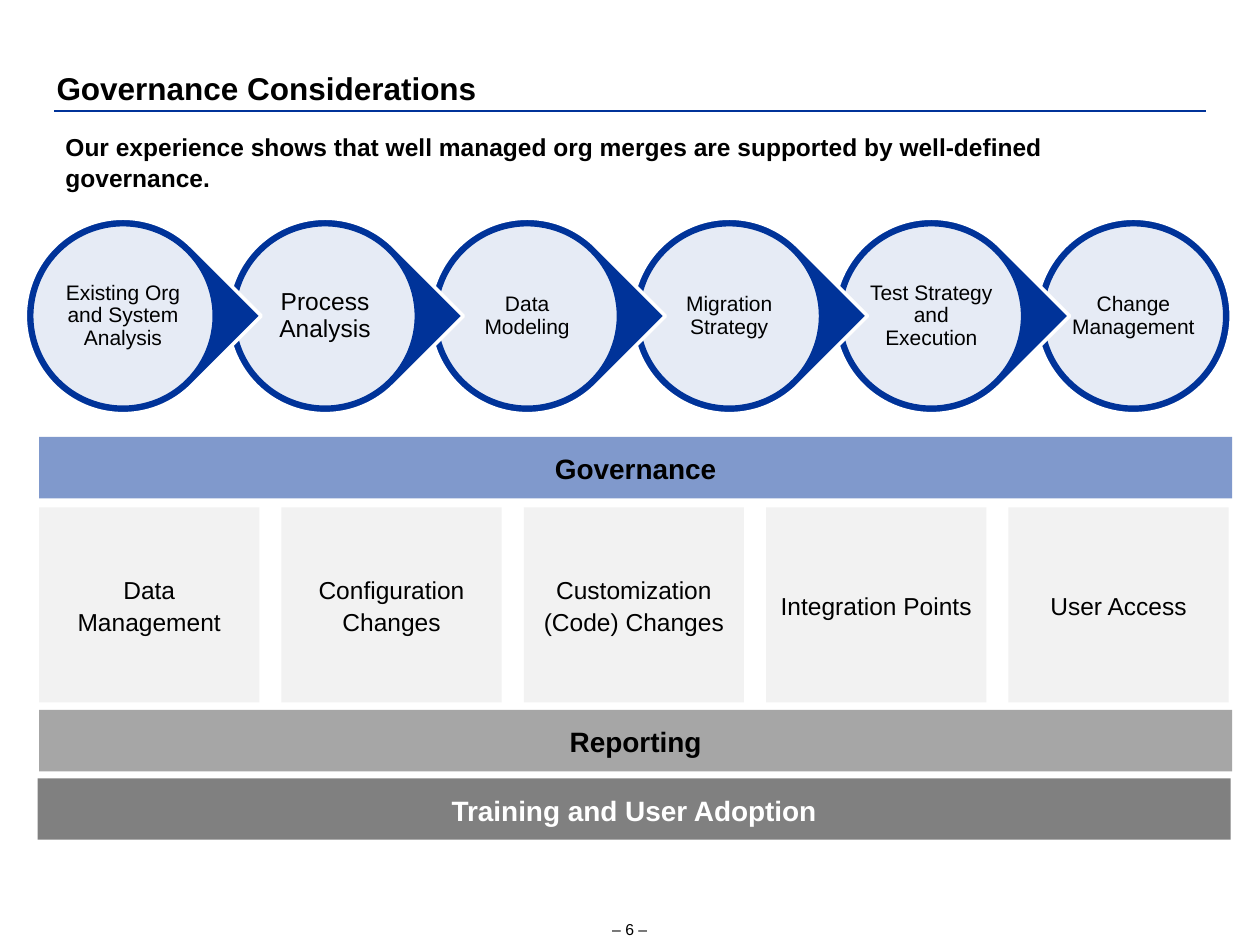
from collections import namedtuple
from dataclasses import dataclass

from lxml.etree import SubElement
from pptx import Presentation
from pptx.dml.color import RGBColor
from pptx.enum.shapes import MSO_CONNECTOR, MSO_SHAPE
from pptx.enum.text import MSO_ANCHOR as Anchor, PP_ALIGN as Align
from pptx.oxml.ns import qn
from pptx.util import Cm, Pt

Box = namedtuple("Box", "left top width height")


@dataclass(frozen=True)
class Theme:
    font: str = "Arial"
    ink: str = "000000"
    white: str = "FFFFFF"
    navy: str = "003399"
    blue: str = "8099CC"
    tile: str = "F2F2F2"
    silver: str = "A6A6A6"
    grey: str = "808080"
    title: int = 18
    bar: int = 16
    body: int = 14
    step: int = 12
    footer: int = 9
    outline: float = 2
    rule: float = 1.5


THEME = Theme()
STEPS = [
    ("Existing Org and System Analysis", THEME.step),
    ("Process Analysis", THEME.body),
    ("Data Modeling", THEME.step),
    ("Migration Strategy", THEME.step),
    ("Test Strategy and Execution", THEME.step),
    ("Change Management", THEME.step),
]
TOPICS = ["Data Management", "Configuration Changes", "Customization (Code) Changes",
          "Integration Points", "User Access"]


def lengths(box):
    return [Cm(value) for value in box]


def inset(box, margin):
    return Box(box.left + margin, box.top + margin,
               box.width - 2 * margin, box.height - 2 * margin)


def spread(box, count, width):
    """Boxes of one width, evenly spaced from edge to edge of the given box."""
    pitch = (box.width - width) / (count - 1)
    return [Box(box.left + i * pitch, box.top, width, box.height) for i in range(count)]


def write(shape, text, size=THEME.body, color=THEME.ink, bold=False, align=Align.LEFT,
          anchor=Anchor.MIDDLE, margins=(0, 0), spacing=1.06, wrap=True):
    frame = shape.text_frame
    frame.word_wrap = wrap
    frame.vertical_anchor = anchor
    frame.margin_left = frame.margin_right = Cm(margins[0])
    frame.margin_top = frame.margin_bottom = Cm(margins[1])
    para = frame.paragraphs[0]
    para.alignment = align
    para.line_spacing = spacing
    span = para.add_run()
    span.text = text
    span.font.name = THEME.font
    span.font.size = Pt(size)
    span.font.bold = bold
    span.font.color.rgb = RGBColor.from_string(color)


def add_text(page, box, text, **style):
    write(page.shapes.add_textbox(*lengths(box)), text, **style)


def add_filled(page, kind, box, fill, line=None, opacity=None):
    shape = page.shapes.add_shape(kind, *lengths(box))
    shape.shadow.inherit = False
    shape.fill.solid()
    shape.fill.fore_color.rgb = RGBColor.from_string(fill)
    if opacity is not None:
        color = shape.fill._xPr.find(qn("a:solidFill"))[0]
        SubElement(color, qn("a:alpha"), val=str(opacity * 1000))
    if line:
        shape.line.color.rgb = RGBColor.from_string(line)
        shape.line.width = Pt(THEME.outline)
    else:
        shape.line.fill.background()
    return shape


def add_heading(page, box):
    # Rule under the title
    rule_y = box.top + 0.84
    rule = page.shapes.add_connector(
        MSO_CONNECTOR.STRAIGHT, Cm(box.left), Cm(rule_y), Cm(box.left + box.width), Cm(rule_y))
    rule.line.color.rgb = RGBColor.from_string(THEME.navy)
    rule.line.width = Pt(THEME.rule)
    SubElement(rule._element.spPr, qn("a:effectLst"))
    # Title and lead sentence
    add_text(page, Box(box.left + 0.05, box.top, box.width - 0.1, 0.76),
             "Governance Considerations", size=THEME.title, bold=True, anchor=Anchor.BOTTOM)
    add_text(page, Box(box.left - 0.02, box.top + 1.09, box.width - 0.2, 1.46),
             "Our experience shows that well managed org merges are supported by "
             "well-defined governance.",
             bold=True, anchor=Anchor.TOP, margins=(0.25, 0.13))


def add_process(page, box):
    places = spread(box, len(STEPS), box.height)
    # Right to left, so that each pointer overlaps the next disc
    for place, (label, size) in reversed(list(zip(places, STEPS))):
        last = place is places[-1]
        kind = MSO_SHAPE.OVAL if last else MSO_SHAPE.TEAR
        backing = add_filled(page, kind, place, THEME.navy, line=THEME.white)
        if not last:
            backing.adjustments[0] = 1
            backing.rotation = 45
        add_filled(page, MSO_SHAPE.OVAL, inset(place, 0.13), THEME.white,
                   line=THEME.navy, opacity=90)
        add_text(page, inset(place, 0.65), label, size=size, align=Align.CENTER,
                 margins=(0.04, 0.04), spacing=0.9)


def add_bar(page, box, label, fill, color=THEME.ink):
    bar = add_filled(page, MSO_SHAPE.RECTANGLE, box, fill)
    write(bar, label, size=THEME.bar, color=color, bold=True, align=Align.CENTER,
          margins=(0.2, 0.2), wrap=False)


def add_topics(page, box):
    for place, label in zip(spread(box, len(TOPICS), 4.44), TOPICS):
        tile = add_filled(page, MSO_SHAPE.RECTANGLE, place, THEME.tile)
        write(tile, label, align=Align.CENTER, margins=(0.2, 0.2))


def add_governance(page, box):
    add_bar(page, Box(box.left, box.top, box.width, 1.24), "Governance", THEME.blue)
    add_topics(page, Box(box.left, box.top + 1.42, box.width - 0.07, 3.93))
    add_bar(page, Box(box.left, box.top + 5.5, box.width, 1.24), "Reporting", THEME.silver)
    add_bar(page, Box(box.left - 0.03, box.top + 6.88, box.width, 1.24),
            "Training and User Adoption", THEME.grey, color=THEME.white)


def add_footer(page, box):
    add_text(page, box, "– 6 –", size=THEME.footer, align=Align.CENTER,
             anchor=Anchor.BOTTOM, wrap=False)


def main():
    deck = Presentation()
    deck.slide_width, deck.slide_height = Cm(25.4), Cm(19.05)
    page = deck.slides.add_slide(deck.slide_layouts[6])
    add_heading(page, Box(1.09, 1.4, 23.22, 3.4))
    add_process(page, Box(0.51, 4.4, 24.31, 3.94))
    add_governance(page, Box(0.79, 8.81, 24.05, 8.12))
    add_footer(page, Box(12.24, 18.52, 0.91, 0.41))
    deck.save("out.pptx")


if __name__ == "__main__":
    main()
